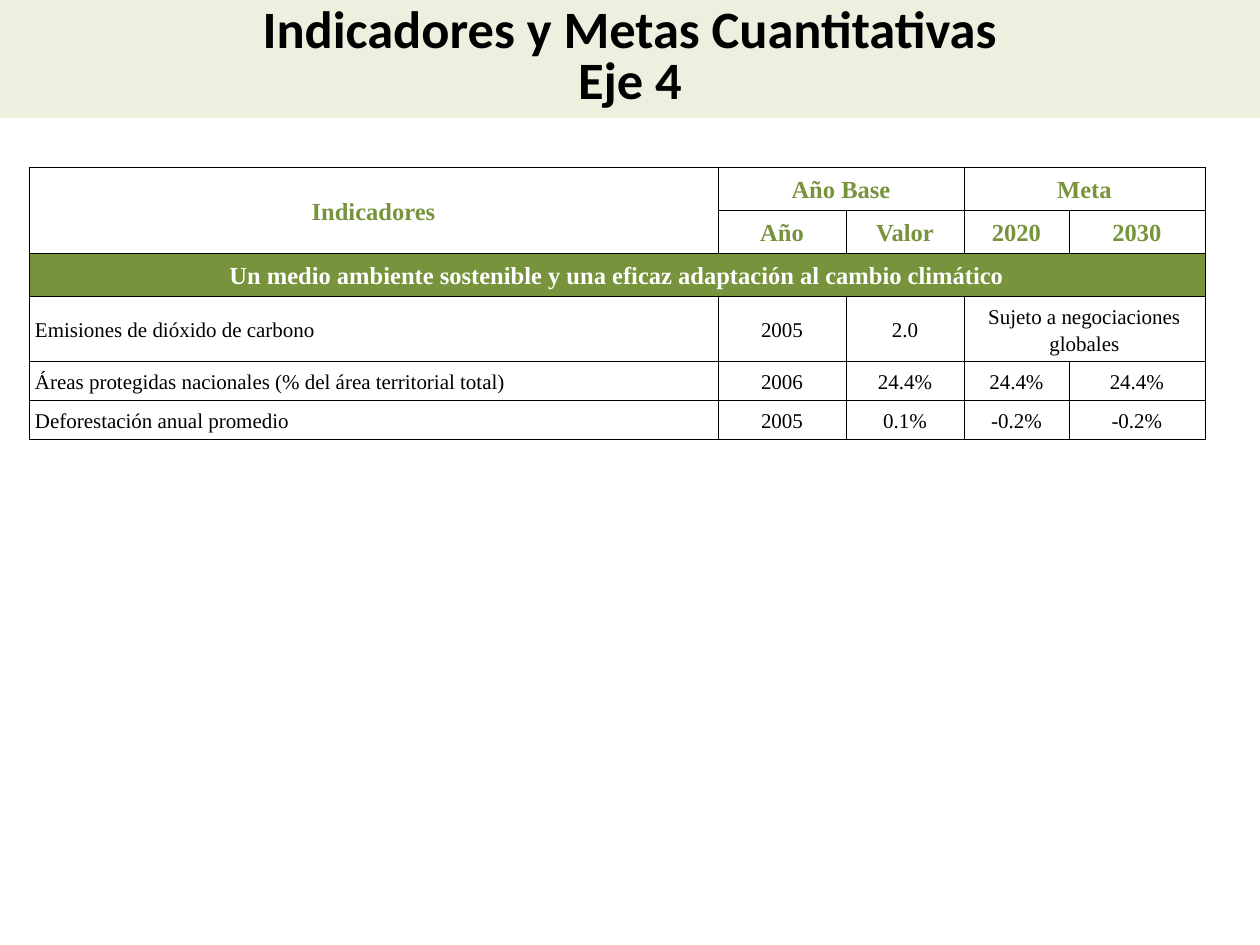
from dataclasses import dataclass

from lxml.etree import SubElement
from pptx import Presentation
from pptx.dml.color import RGBColor
from pptx.enum.text import MSO_ANCHOR, MSO_AUTO_SIZE, PP_ALIGN
from pptx.oxml.ns import qn
from pptx.util import Emu, Pt


@dataclass(frozen=True)
class Theme:
    """Colours, fonts and type sizes of the deck."""
    band: str = "EBF1DE"
    green: str = "77933C"
    white: str = "FFFFFF"
    black: str = "000000"
    title_font: str = "Calibri"
    table_font: str = "Times New Roman"
    title_size: int = 30
    head_size: int = 14
    body_size: int = 12
    border: float = 0.45


THEME = Theme()
TITLE = "Indicadores y Metas Cuantitativas\nEje 4"
COLUMNS = [689, 128, 118, 105, 136]
HEIGHTS = [34, 34, 34, 58, 29, 29]
HEAD_ROWS = 2
SECTION_ROW = 2
ROWS = [
    ["Indicadores", "Año Base", "", "Meta", ""],
    ["", "Año", "Valor", "2020", "2030"],
    ["Un medio ambiente sostenible y una eficaz adaptación al cambio climático", "", "", "", ""],
    ["Emisiones de dióxido de carbono", "2005", "2.0", "Sujeto a negociaciones globales", ""],
    ["Áreas protegidas nacionales (% del área territorial total)", "2006", "24.4%", "24.4%", "24.4%"],
    ["Deforestación anual promedio", "2005", "0.1%", "-0.2%", "-0.2%"],
]
MERGES = [((0, 0), (1, 0)), ((0, 1), (0, 2)), ((0, 3), (0, 4)), ((2, 0), (2, 4)), ((3, 3), (3, 4))]


def px(length):
    """Turn px at 126 to the inch into EMU."""
    return Emu(round(length * 914400 / 126))


def style_para(para, font, size, color, bold, align, spacing):
    """Format one paragraph."""
    para.alignment = align
    para.line_spacing = spacing
    para.font.name = font
    para.font.size = Pt(size)
    para.font.bold = bold
    para.font.color.rgb = RGBColor.from_string(color)


def add_borders(cell):
    """Draw a thin line on all four sides of a cell."""
    properties = cell._tc.get_or_add_tcPr()
    for side in ("lnL", "lnR", "lnT", "lnB"):
        line = SubElement(properties, qn(f"a:{side}"), w=str(Pt(THEME.border)))
        fill = SubElement(line, qn("a:solidFill"))
        SubElement(fill, qn("a:srgbClr"), val=THEME.black)


def place_title(page, left, top, width, height):
    """Set the title in a tinted band."""
    title = page.shapes.title
    title.left, title.top, title.width, title.height = map(px, (left, top, width, height))
    title.fill.solid()
    title.fill.fore_color.rgb = RGBColor.from_string(THEME.band)
    frame = title.text_frame
    frame.text = TITLE
    frame.word_wrap = True
    frame.auto_size = MSO_AUTO_SIZE.NONE
    frame.vertical_anchor = MSO_ANCHOR.MIDDLE
    for para in frame.paragraphs:
        style_para(para, THEME.title_font, THEME.title_size, THEME.black, True, PP_ALIGN.CENTER, 0.8)


def format_cell(cell, text, row, column):
    """Fill one cell in the style of its row."""
    heading = row <= SECTION_ROW
    cell.text = text
    cell.vertical_anchor = MSO_ANCHOR.MIDDLE
    cell.margin_left = cell.margin_right = cell.margin_top = cell.margin_bottom = px(6)
    add_borders(cell)
    if heading:
        cell.fill.solid()
        fill, color = (THEME.white, THEME.green) if row < HEAD_ROWS else (THEME.green, THEME.white)
        cell.fill.fore_color.rgb = RGBColor.from_string(fill)
    else:
        cell.fill.background()
        color = THEME.black
    size = THEME.head_size if heading else THEME.body_size
    align = PP_ALIGN.CENTER if heading or column else PP_ALIGN.LEFT
    style_para(cell.text_frame.paragraphs[0], THEME.table_font, size, color, heading, align, 1.15)


def place_table(page, left, top, width, height):
    """Build the table of indicators and targets."""
    box = map(px, (left, top, width, height))
    table = page.shapes.add_table(len(ROWS), len(COLUMNS), *box).table
    table.first_row = table.horz_banding = False
    for column, length in zip(table.columns, COLUMNS):
        column.width = px(length)
    for row, length in zip(table.rows, HEIGHTS):
        row.height = px(length)
    for row, texts in enumerate(ROWS):
        for column, text in enumerate(texts):
            format_cell(table.cell(row, column), text, row, column)
    for first, last in MERGES:
        table.cell(*first).merge(table.cell(*last))


def main():
    """Build and save the deck."""
    deck = Presentation()
    deck.slide_width, deck.slide_height = px(1260), px(945)
    page = deck.slides.add_slide(deck.slide_layouts[5])
    place_title(page, 0, 0, 1260, 118)
    place_table(page, 29, 167, sum(COLUMNS), sum(HEIGHTS))
    deck.save("out.pptx")


if __name__ == "__main__":
    main()
